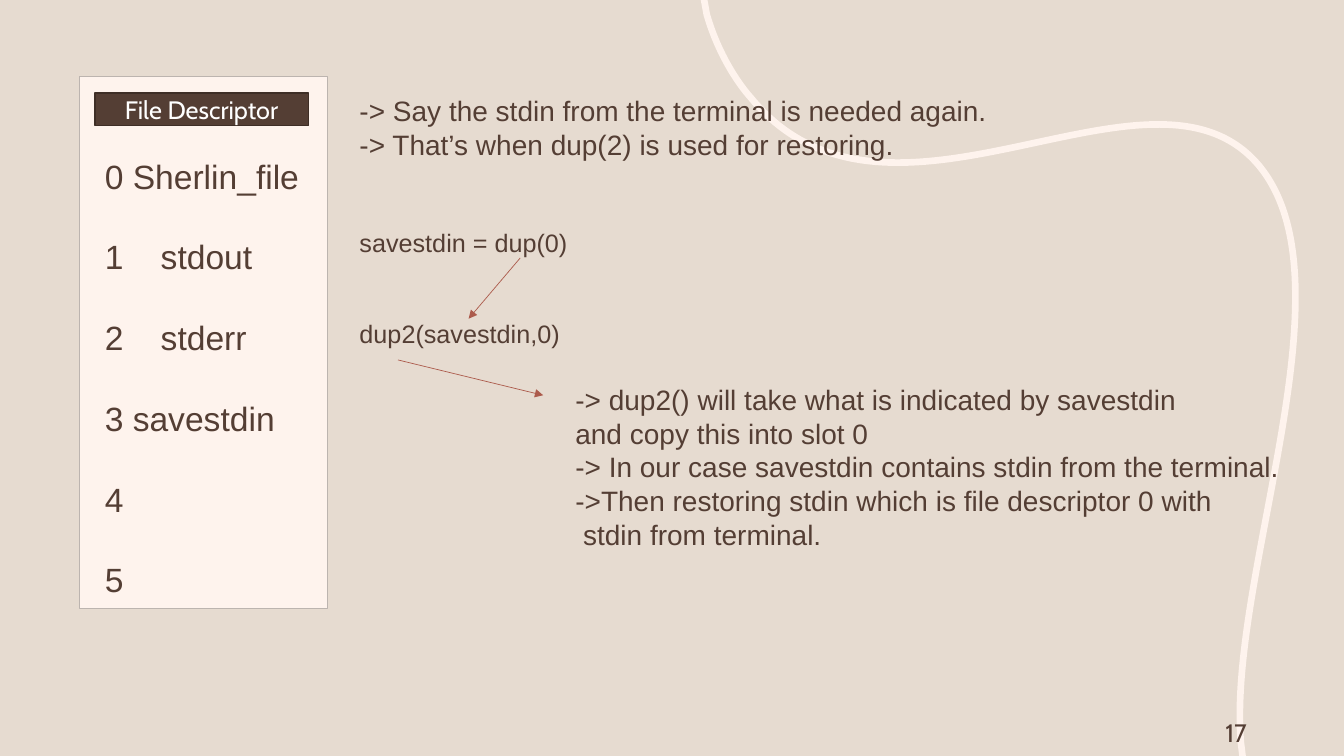
from dataclasses import dataclass

from lxml.etree import SubElement
from pptx import Presentation
from pptx.dml.color import RGBColor
from pptx.enum.shapes import MSO_CONNECTOR, MSO_SHAPE
from pptx.enum.text import MSO_ANCHOR as Anchor, MSO_AUTO_SIZE as AutoSize, PP_ALIGN as Align
from pptx.oxml.ns import qn
from pptx.util import Cm, Pt


@dataclass(frozen=True)
class Theme:
    """Colours, fonts and type sizes of the slide."""
    background: RGBColor = RGBColor.from_string("E6DBD0")
    cream: RGBColor = RGBColor.from_string("FEF3ED")
    panel_edge: RGBColor = RGBColor.from_string("BCB4AF")
    brown: RGBColor = RGBColor.from_string("543E34")
    dark_brown: RGBColor = RGBColor.from_string("3E2E26")
    white: RGBColor = RGBColor.from_string("FFFFFF")
    arrow: RGBColor = RGBColor.from_string("AC5B4C")
    text_font: str = "Arial"
    label_font: str = "Cabin"
    slot_size: int = 24
    note_size: int = 20
    small_size: int = 18


@dataclass(frozen=True)
class Box:
    """A region of the slide in centimetres."""
    left: float
    top: float
    width: float
    height: float

    def inside(self, left, top, width, height):
        """Return a box offset from this one's top left corner."""
        return Box(self.left + left, self.top + top, width, height)

    def lengths(self):
        """Return left, top, width and height as lengths."""
        return Cm(self.left), Cm(self.top), Cm(self.width), Cm(self.height)


THEME = Theme()
CURVE_START = (13.59, 19.18)
CURVE_NEXT = (13.54, 18.77)
CURVE_BENDS = [
    [(13.21, 14.51), (16.46, 7.14), (13.97, 4.22)],
    [(11.23, 1.05), (4.67, 6.79), (1.19, 2.54)],
    [(0.99, 2.32), (0.41, 1.58), (0.08, 0.44)],
    [(0.05, 0.26), (0, 0), (0, 0)],
]
SLOTS = ["0 Sherlin_file", "1\tstdout", "2\tstderr", "3 savestdin", "4", "5"]
INTRO = [
    "-> Say the stdin from the terminal is needed again.",
    "-> That’s when dup(2) is used for restoring.",
]
CALLS = ["savestdin = dup(0)", "dup2(savestdin,0)"]
NOTES = [
    "-> dup2() will take what is indicated by savestdin",
    "and copy this into slot 0",
    "-> In our case savestdin contains stdin from the terminal.",
    "->Then restoring stdin which is file descriptor 0 with",
    " stdin from terminal.",
]


def place(shape, box):
    """Move and size a shape to a box."""
    shape.left, shape.top, shape.width, shape.height = box.lengths()


def write(shape, lines, size, font=THEME.text_font, color=THEME.brown, gap=0, align=Align.LEFT):
    """Write one formatted paragraph per line."""
    frame = shape.text_frame
    frame.word_wrap = True
    frame.auto_size = AutoSize.NONE
    frame.text = "\n".join(lines)
    for paragraph in frame.paragraphs:
        paragraph.alignment = align
        paragraph.line_spacing = 1.0
        paragraph.space_before = Pt(0)
        paragraph.space_after = Pt(gap)
        paragraph.font.size = Pt(size)
        paragraph.font.name = font
        paragraph.font.color.rgb = color


def set_hanging_indent(paragraph, indent):
    """Remove the bullet and hang the first line by an indent."""
    properties = paragraph._p.get_or_add_pPr()
    properties.set("marL", str(indent))
    properties.set("indent", str(-indent))
    bullet = SubElement(properties, qn("a:buNone"))
    properties.find(qn("a:defRPr")).addprevious(bullet)


def add_text(slide, box, lines, size, **style):
    """Add a text box filled with lines."""
    write(slide.shapes.add_textbox(*box.lengths()), lines, size, **style)


def add_curve(slide, box):
    """Draw the flowing decorative line."""
    builder = slide.shapes.build_freeform(*map(Cm, CURVE_START))
    builder.add_line_segments([tuple(map(Cm, CURVE_NEXT))], close=False)
    curve = builder.convert_to_shape()
    place(curve, box)
    outline = curve.element.find(".//" + qn("a:path"))
    outline.set("w", str(Cm(box.width)))
    outline.set("h", str(Cm(box.height)))
    for child in list(outline):
        outline.remove(child)
    strokes = [("moveTo", [CURVE_START]), ("lnTo", [CURVE_NEXT])]
    strokes += [("cubicBezTo", bend) for bend in CURVE_BENDS]
    for command, points in strokes:
        stroke = SubElement(outline, qn("a:" + command))
        for x, y in points:
            SubElement(stroke, qn("a:pt"), x=str(Cm(x)), y=str(Cm(y)))
    curve.shadow.inherit = False
    curve.fill.background()
    curve.line.color.rgb = THEME.cream
    curve.line.width = Pt(4.75)


def paint(shape, fill, edge):
    """Give a shape its fill and a thin outline."""
    shape.fill.solid()
    shape.fill.fore_color.rgb = fill
    shape.line.color.rgb = edge
    shape.line.width = Pt(1)


def add_descriptor_table(slide, box):
    """Build the panel with its heading and descriptor slots."""
    panel = slide.shapes.add_shape(MSO_SHAPE.RECTANGLE, *box.lengths())
    panel.shadow.inherit = False
    paint(panel, THEME.cream, THEME.panel_edge)

    heading, slots = slide.shapes.title, slide.placeholders[1]
    for placeholder in (slots, heading):
        slide.shapes.element.append(placeholder.element)
        frame = placeholder.text_frame
        frame.margin_left = frame.margin_right = frame.margin_top = frame.margin_bottom = 0

    place(slots, box.inside(0.63, 1.99, 5.6, 11.42))
    write(slots, SLOTS, THEME.slot_size, gap=28.85)
    slots.text_frame.vertical_anchor = Anchor.TOP
    for paragraph in slots.text_frame.paragraphs:
        set_hanging_indent(paragraph, Cm(1.41))

    place(heading, box.inside(0.38, 0.41, 5.38, 0.83))
    paint(heading, THEME.brown, THEME.dark_brown)
    write(heading, ["File Descriptor"], THEME.small_size, font=THEME.label_font,
          color=THEME.white, align=Align.CENTER)
    heading.text_frame.vertical_anchor = Anchor.MIDDLE


def add_arrow(slide, start, end):
    """Draw a thin arrow between two points."""
    arrow = slide.shapes.add_connector(MSO_CONNECTOR.STRAIGHT, *map(Cm, start + end))
    arrow.line.color.rgb = THEME.arrow
    arrow.line.width = Pt(0.5)
    SubElement(arrow.line._get_or_add_ln(), qn("a:tailEnd"), type="triangle")
    SubElement(arrow.element.spPr, qn("a:effectLst"))


def add_explanation(slide, box):
    """Place the introduction, the calls, the notes and their arrows."""
    add_text(slide, box.inside(0, 0.02, 16.94, 1.96), INTRO, THEME.note_size)
    add_text(slide, box.inside(0, 3.4, 16.94, 4.11), CALLS, THEME.small_size, gap=43.5)
    add_text(slide, box.inside(5.44, 7.31, 18.6, 4.52), NOTES, THEME.note_size)
    for start, end in [((4.3, 4.29), (3, 5.82)), ((1.22, 6.86), (4.88, 7.75))]:
        add_arrow(slide, (box.left + start[0], box.top + start[1]),
                  (box.left + end[0], box.top + end[1]))


def main():
    """Build and save the presentation."""
    presentation = Presentation()
    presentation.slide_width, presentation.slide_height = Cm(33.87), Cm(19.05)
    slide = presentation.slides.add_slide(presentation.slide_layouts[1])
    slide.background.fill.solid()
    slide.background.fill.fore_color.rgb = THEME.background
    add_curve(slide, Box(17.73, -0.08, 14.91, 19.18))
    add_descriptor_table(slide, Box(2.01, 1.93, 6.25, 13.41))
    add_explanation(slide, Box(8.81, 2.21, 24.04, 11.81))
    add_text(slide, Box(30.63, 17.96, 2.74, 0.86), ["17"], THEME.small_size,
             font=THEME.label_font)
    presentation.save("out.pptx")


if __name__ == "__main__":
    main()
